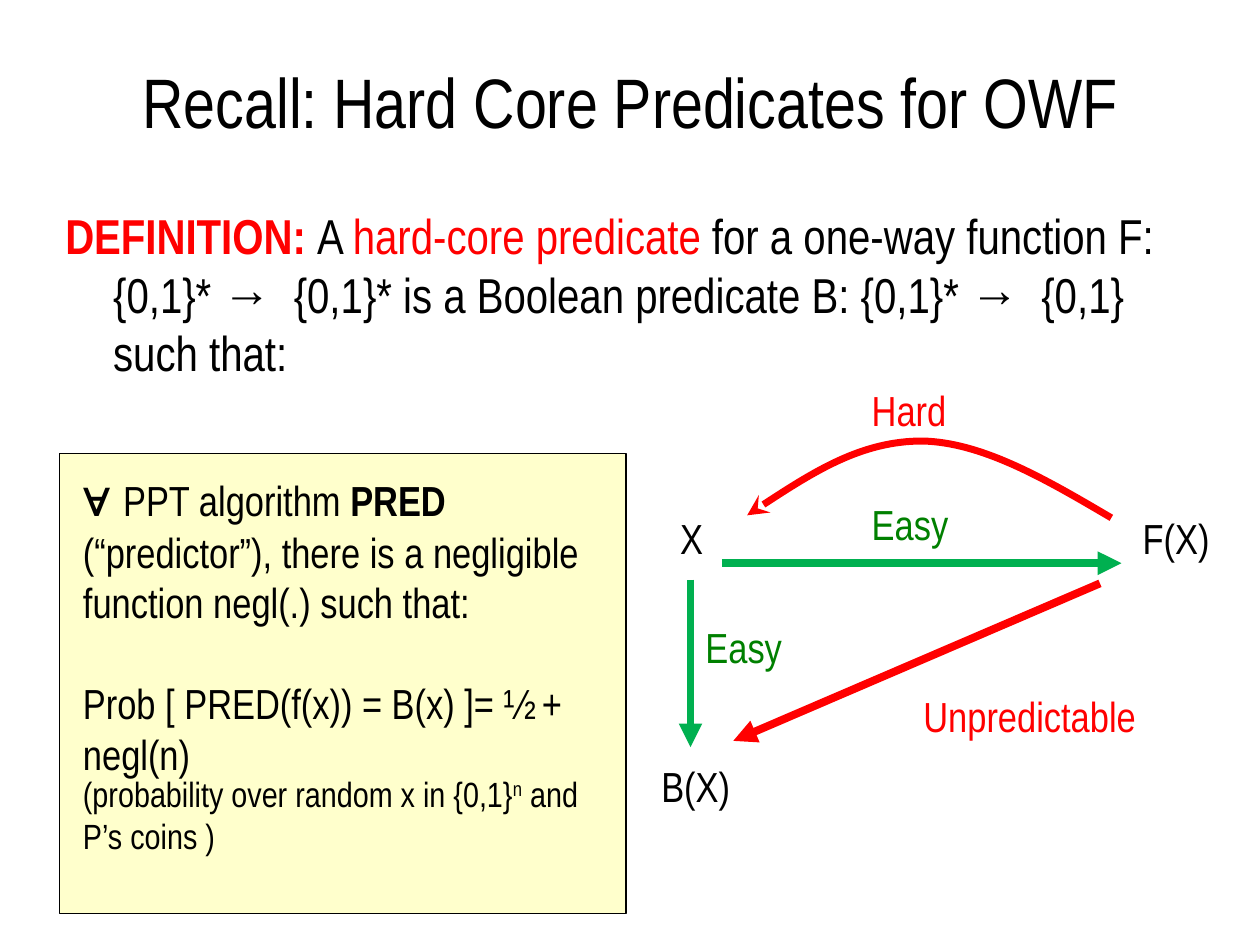
from dataclasses import dataclass

from lxml.etree import SubElement
from pptx import Presentation
from pptx.dml.color import RGBColor
from pptx.enum.shapes import MSO_CONNECTOR as Link, MSO_SHAPE as Shape
from pptx.enum.text import MSO_ANCHOR as Anchor, MSO_AUTO_SIZE as Fit, PP_ALIGN as Align
from pptx.oxml.ns import qn
from pptx.util import Inches, Pt

FONT = "Arial Narrow"
BLACK = RGBColor(0, 0, 0)
RED = RGBColor(0xFF, 0, 0)
GREEN = RGBColor(0, 0x80, 0)
LIME = RGBColor(0, 0xB0, 0x50)
CREAM = RGBColor(0xFF, 0xFF, 0xCC)

# The slide is a grid of 100 columns by 75 rows.
COLS, ROWS = 100, 75
CELL = Inches(10) // COLS


@dataclass
class Run:
    text: str
    size: int = 24
    color: RGBColor = BLACK
    bold: bool = False
    sup: bool = False


@dataclass
class Label:
    text: str
    box: tuple[float, float, float, float]
    color: RGBColor = BLACK
    wrap: bool = True


@dataclass
class Arrow:
    start: tuple[float, float]
    end: tuple[float, float]
    color: RGBColor


LABELS = [
    Label("X", (53, 40.2, 5.2, 5.1)),
    Label("F(X)", (89.7, 40.2, 8.5, 5.1)),
    Label("B(X)", (51.5, 59.9, 8.5, 5.1)),
    Label("Easy", (68.2, 39.1, 8.2, 5.1), GREEN, False),
    Label("Easy", (55, 48.8, 8.2, 5.1), GREEN, False),
    Label("Hard", (68.2, 30, 8, 5.1), RED, False),
    Label("Unpredictable", (72.3, 54.3, 19.1, 5), RED, False),
]
ARROWS = [
    Arrow((57.3, 44.7), (89, 44.7), LIME),
    Arrow((54.8, 46), (54.8, 59.3), LIME),
    Arrow((87.3, 46.3), (58.2, 58.8), RED),
]
# Start point, then two handles and an end for each curve.
ARC = [(88.2, 41.1), (83.1, 38.1), (78, 35.1), (73.2, 35),
       (68.4, 35), (63.8, 37.9), (59.3, 40.9)]

DEFINITION = [
    Run("DEFINITION: ", 28, RED, True),
    Run("A ", 28),
    Run("hard-core predicate ", 28, RED),
    Run("for a one-way function F:{0,1}* →  {0,1}* is a Boolean predicate "
        "B: {0,1}* →  {0,1} such that:", 28),
]
CLAIM = [
    [Run("∀ ", 28), Run("PPT algorithm "), Run("PRED", bold=True),
     Run(" (“predictor”), there is a negligible function negl(.) such that:")],
    [Run("Prob [ PRED(f(x)) = B(x) ]= ½ + negl(n)")],
]
COINS = [Run("(probability over random x in {0,1}", 20),
         Run("n", 20, sup=True), Run(" and P’s coins )", 20)]


def grid(*cells: float) -> list[int]:
    return [round(n * CELL) for n in cells]


def fill_para(para, runs: list[Run]) -> None:
    for item in runs:
        run = para.add_run()
        run.text = item.text
        font = run.font
        font.name, font.size, font.bold = FONT, Pt(item.size), item.bold
        font.color.rgb = item.color
        if item.sup:
            font._element.set("baseline", "30000")


def add_text(slide, box: tuple, paras: list[list[Run]], wrap: bool = True,
             fit: Fit = Fit.SHAPE_TO_FIT_TEXT):
    frame = slide.shapes.add_textbox(*grid(*box)).text_frame
    frame.word_wrap, frame.auto_size = wrap, fit
    for i, runs in enumerate(paras):
        fill_para(frame.add_paragraph() if i else frame.paragraphs[0], runs)
    return frame


def style_line(shape, color: RGBColor, width: float, tip: str) -> None:
    """Colour the line, put a tip at its end and drop its shadow."""
    shape.line.color.rgb, shape.line.width = color, Pt(width)
    SubElement(shape.line._get_or_add_ln(), qn("a:tailEnd"), type=tip)
    SubElement(shape._element.spPr, qn("a:effectLst"))


def add_arrow(slide, arrow: Arrow) -> None:
    line = slide.shapes.add_connector(
        Link.STRAIGHT, *grid(*arrow.start), *grid(*arrow.end))
    style_line(line, arrow.color, 4.5, "triangle")


def add_arc(slide) -> None:
    """Draw the points as an outline, then join them by threes into curves."""
    pen = slide.shapes.build_freeform(*grid(*ARC[0]))
    pen.add_line_segments([grid(*spot) for spot in ARC[1:]], close=False)
    arc = pen.convert_to_shape()
    route = next(arc._element.iter(qn("a:path")))
    steps = route.findall(qn("a:lnTo"))
    for i in range(0, len(steps), 3):
        curve = SubElement(route, qn("a:cubicBezTo"))
        for step in steps[i:i + 3]:
            curve.append(step[0])
            route.remove(step)
    arc.fill.background()
    style_line(arc, RED, 4, "stealth")


def add_title(slide) -> None:
    title = slide.shapes.title
    title.left, title.top, title.width, title.height = grid(7.5, 1.7, 85, 12.5)
    frame = title.text_frame
    frame.vertical_anchor = Anchor.MIDDLE
    para = frame.paragraphs[0]
    para.alignment = Align.CENTER
    fill_para(para, [Run("Recall: Hard Core Predicates for OWF", 40)])


def add_claim(slide) -> None:
    panel = slide.shapes.add_shape(Shape.RECTANGLE, *grid(4.7, 36, 45, 36.5))
    panel.shadow.inherit = False
    panel.fill.solid()
    panel.fill.fore_color.rgb = CREAM
    panel.line.color.rgb, panel.line.width = BLACK, Pt(0.75)
    frame = add_text(slide, (5.6, 36.6, 44.1, 25.9), CLAIM)
    frame.paragraphs[1].space_before = Pt(29)
    add_text(slide, (5.6, 60.8, 44.1, 7.7), [COINS])


def main() -> None:
    deck = Presentation()
    deck.slide_width, deck.slide_height = grid(COLS, ROWS)
    slide = deck.slides.add_slide(deck.slide_layouts[5])
    add_title(slide)
    frame = add_text(slide, (4.2, 15.8, 90, 17.5), [DEFINITION], fit=Fit.NONE)
    props = frame.paragraphs[0]._p.get_or_add_pPr()
    hang = Inches(0.38)
    props.set("marL", str(hang))
    props.set("indent", str(-hang))
    for arrow in ARROWS:
        add_arrow(slide, arrow)
    add_arc(slide)
    for label in LABELS:
        add_text(slide, label.box, [[Run(label.text, color=label.color)]], label.wrap)
    add_claim(slide)
    deck.save("out.pptx")


if __name__ == "__main__":
    main()
